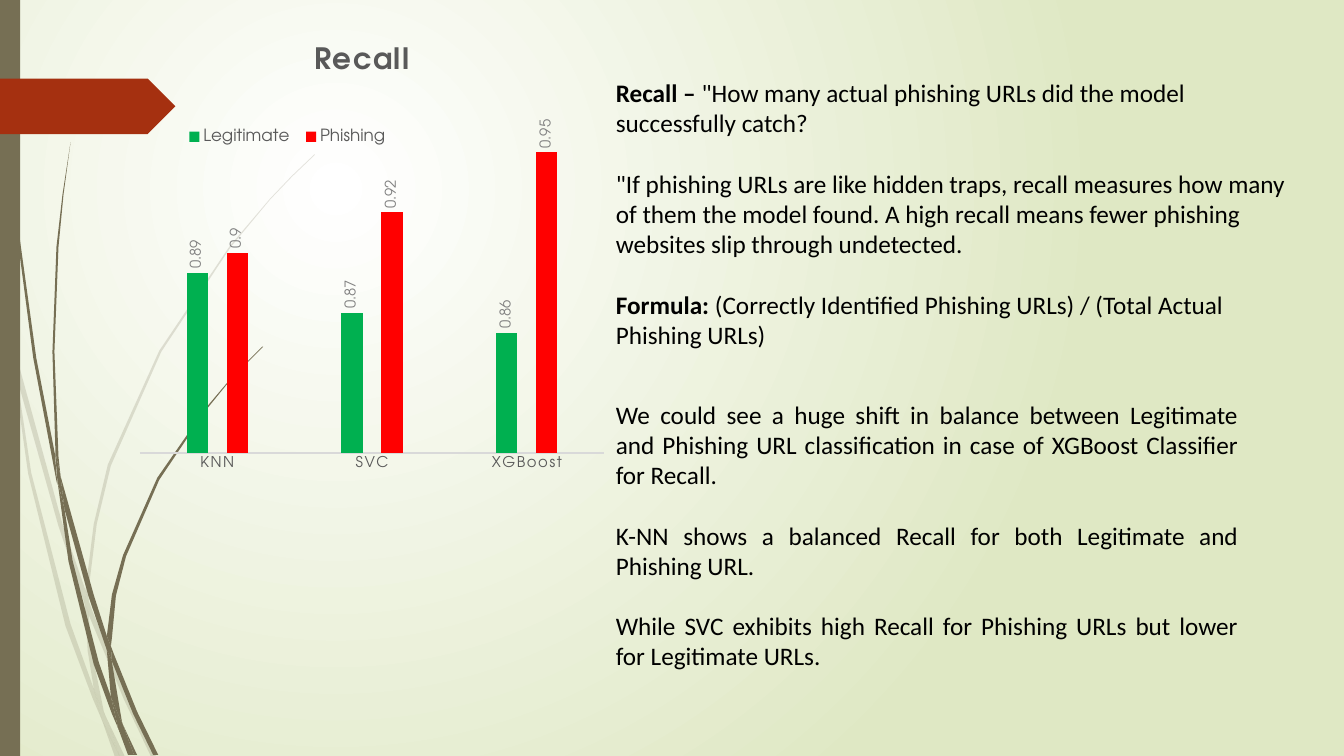
from dataclasses import dataclass

from pptx import Presentation
from pptx.chart.data import CategoryChartData
from pptx.dml.color import RGBColor
from pptx.enum.chart import XL_CHART_TYPE, XL_LABEL_POSITION, XL_LEGEND_POSITION, XL_TICK_MARK
from pptx.enum.shapes import MSO_SHAPE
from pptx.enum.text import PP_ALIGN
from pptx.oxml import parse_xml
from pptx.oxml.ns import nsdecls, qn
from pptx.util import Inches, Pt

COLUMNS = XL_CHART_TYPE.COLUMN_CLUSTERED
LABEL_OUTSIDE = XL_LABEL_POSITION.OUTSIDE_END
LEGEND_TOP = XL_LEGEND_POSITION.TOP
NO_TICKS = XL_TICK_MARK.NONE
RECTANGLE, PENTAGON = MSO_SHAPE.RECTANGLE, MSO_SHAPE.PENTAGON
LEFT, JUSTIFY = PP_ALIGN.LEFT, PP_ALIGN.JUSTIFY


@dataclass(frozen=True)
class Theme:
    olive: str = "766F54"
    rust: str = "A53010"
    glow: str = "FFFFFF"
    backdrop: str = "DFE8C4"
    text: str = "000000"
    chart_text: str = "595959"
    label_text: str = "808080"
    axis_line: str = "D9D9D9"
    legitimate: str = "00B050"
    phishing: str = "FF0000"
    body_font: str = "Calibri"
    chart_font: str = "TeX Gyre Adventor"
    body_size: float = 18
    title_size: float = 21
    legend_size: float = 12
    label_size: float = 10.6


THEME = Theme()

# Outlines of the grass blades, as (x, y) corners in inches.
FAINT_BLADES = [
    [(.11, 3.5), (.09, 3.22), (0, 2.82), (0, 2.99), (.1, 3.44)],
    [(.58, 5.22), (.84, 5.99), (.85, 5.86), (.62, 5.2), (.14, 3.45), (.17, 3.76)],
    [(.92, 6.07), (.88, 5.96), (.88, 6.1), (1.23, 6.94), (1.5, 7.51), (1.55, 7.51), (1.27, 6.92)],
    [(1.19, 7.51), (1.24, 7.51), (1.05, 7.11)],
    [(.93, 6.83), (.7, 6.19), (.31, 4.69), (.17, 3.76), (.11, 3.5), (.28, 4.7), (.65, 6.21),
     (.92, 6.93), (1.01, 7.14), (.99, 7.07)],
    [(.84, 5.99), (.87, 6.46), (.93, 6.83), (.96, 6.92), (1.05, 7.11), (1.03, 7.06), (.91, 6.46),
     (.88, 6.1), (.88, 6.08)],
    [(.88, 5.84), (.96, 5.2), (1.1, 4.62), (1.6, 3.49), (2.29, 2.45), (2.68, 1.98), (2.9, 1.75),
     (3.12, 1.54), (3.12, 1.53), (2.89, 1.75), (2.68, 1.97), (2.28, 2.44), (1.58, 3.48),
     (1.07, 4.61), (.93, 5.2), (.85, 5.84), (.85, 5.86), (.88, 5.96)],
    [(1.01, 7.14), (1.14, 7.51), (1.19, 7.51)],
    [(.88, 6.08), (.88, 6.1), (.88, 5.96), (.85, 5.86), (.84, 5.99)],
    [(.96, 6.92), (.93, 6.83), (.99, 7.07), (1.01, 7.14), (1.19, 7.51), (1.05, 7.11)],
]
SOLID_BLADES = [
    [(.07, 1.1), (.17, 2.33), (.33, 3.55), (.56, 4.77), (.57, 4.81), (.55, 4.57), (.55, 4.53),
     (.36, 3.55), (.19, 2.32), (.08, 1.09), (.05, .48), (.04, 0), (.03, 0), (.04, .48)],
    [(.88, 5.92), (1.06, 6.45), (1.06, 6.31), (.93, 5.9), (.6, 4.72), (.64, 5.05)],
    [(1.13, 6.49), (1.1, 6.41), (1.11, 6.56), (1.32, 7.08), (1.52, 7.49), (1.57, 7.49), (1.36, 7.06)],
    [(1.1, 6.91), (.98, 6.57), (.72, 5.56), (.64, 5.05), (.57, 4.77), (.68, 5.57), (.93, 6.59),
     (1.11, 7.08), (1.17, 7.22), (1.16, 7.17)],
    [(.6, 4.72), (.58, 4.53), (.54, 3.49), (.58, 2.45), (.63, 1.93), (.7, 1.41), (.62, 1.93),
     (.56, 2.45), (.52, 3.49), (.55, 4.49)],
    [(1.33, 7.49), (1.36, 7.49), (1.22, 7.19)],
    [(.57, 4.77), (.64, 5.05), (.6, 4.72), (.55, 4.49), (.55, 4.53)],
    [(1.11, 6.33), (1.15, 5.91), (1.25, 5.52), (1.58, 4.76), (2.05, 4.06), (2.31, 3.74), (2.61, 3.44),
     (2.6, 3.44), (2.31, 3.73), (2.04, 4.05), (1.56, 4.74), (1.22, 5.51), (1.11, 5.9), (1.06, 6.31),
     (1.1, 6.41)],
    [(1.17, 7.22), (1.27, 7.49), (1.31, 7.49)],
    [(1.06, 6.45), (1.1, 6.91), (1.16, 7.06), (1.22, 7.19), (1.21, 7.16), (1.11, 6.56), (1.09, 6.51)],
    [(1.06, 6.45), (1.09, 6.51), (1.11, 6.56), (1.1, 6.41), (1.06, 6.31)],
    [(1.16, 7.06), (1.1, 6.91), (1.16, 7.17), (1.17, 7.22), (1.3, 7.49), (1.33, 7.49), (1.22, 7.19)],
]


def rgb(color):
    return RGBColor.from_string(color)


def format_font(font, name=THEME.body_font, size=THEME.body_size, color=THEME.text, bold=False, spacing=0):
    font.name, font.size, font.bold = name, Pt(size), bold
    font.color.rgb = rgb(color)
    if spacing:
        font._element.set("spc", str(spacing))


def add_text(paragraph, text, **font_format):
    run = paragraph.add_run()
    run.text = text
    format_font(run.font, **font_format)


def paint(shape, color):
    shape.shadow.inherit = False
    shape.fill.solid()
    shape.fill.fore_color.rgb = rgb(color)
    shape.line.fill.background()


def add_blade(slide, outline, opacity):
    points = [(Inches(x), Inches(y)) for x, y in outline]
    builder = slide.shapes.build_freeform(*points[0])
    builder.add_line_segments(points[1:], close=True)
    blade = builder.convert_to_shape()
    paint(blade, THEME.olive)
    color = blade.fill._xPr.find(".//" + qn("a:srgbClr"))
    color.append(parse_xml(f'<a:alpha {nsdecls("a")} val="{opacity * 1000}"/>'))


def add_background(slide):
    slide.background.fill.solid()
    solid = slide.background.fill._xPr.find(qn("a:solidFill"))
    solid.getparent().replace(solid, parse_xml(
        f'<a:gradFill {nsdecls("a")} rotWithShape="1"><a:gsLst>'
        f'<a:gs pos="0"><a:srgbClr val="{THEME.glow}"/></a:gs>'
        f'<a:gs pos="100000"><a:srgbClr val="{THEME.backdrop}"/></a:gs></a:gsLst>'
        '<a:path path="circle"><a:fillToRect l="50000" t="50000" r="100000" b="100000"/>'
        '</a:path></a:gradFill>'))


def add_decoration(slide):
    for blades, opacity in ((FAINT_BLADES, 20), (SOLID_BLADES, 100)):
        for outline in blades:
            add_blade(slide, outline, opacity)
    for kind, color, box in ((RECTANGLE, THEME.olive, (0, 0, .2, 7.5)),
                             (PENTAGON, THEME.rust, (0, .78, 1.74, .55))):
        paint(slide.shapes.add_shape(kind, *map(Inches, box)), color)


def set_layout(element, index, inner=False, **fractions):
    """Fix a chart part at fractions of the chart's width and height."""
    for old in element.findall(qn("c:layout")):
        element.remove(old)
    target = '<c:layoutTarget val="inner"/>' if inner else ""
    sizes = "".join(f'<c:{key} val="{value}"/>' for key, value in fractions.items())
    element.insert(index, parse_xml(
        f'<c:layout {nsdecls("c")}><c:manualLayout>{target}<c:xMode val="edge"/>'
        f'<c:yMode val="edge"/>{sizes}</c:manualLayout></c:layout>'))


def add_recall_chart(slide, box):
    data = CategoryChartData()
    data.categories = ["KNN", "SVC", "XGBoost"]
    data.add_series("Legitimate", (.89, .87, .86))
    data.add_series("Phishing", (.9, .92, .95))
    chart = slide.shapes.add_chart(COLUMNS, *map(Inches, box), data).chart
    small = dict(name=THEME.chart_font, size=THEME.label_size)
    format_font(chart.font, **small)
    add_text(chart.chart_title.text_frame.paragraphs[0], "Recall", name=THEME.chart_font,
             size=THEME.title_size, color=THEME.chart_text, bold=True, spacing=100)
    set_layout(chart.chart_title._element, 1, x=.37, y=.01)

    chart.has_legend = True
    chart.legend.position = LEGEND_TOP
    chart.legend.include_in_layout = False
    format_font(chart.legend.font, name=THEME.chart_font, size=THEME.legend_size, color=THEME.chart_text)
    set_layout(chart.legend._element, 1, x=.1, y=.19, w=.45, h=.08)

    values, categories = chart.value_axis, chart.category_axis
    values.minimum_scale, values.maximum_scale = .8, .96
    values.has_major_gridlines = values.visible = False
    categories.major_tick_mark = NO_TICKS
    categories.format.line.color.rgb = rgb(THEME.axis_line)
    categories.format.line.width = Pt(.75)
    format_font(categories.tick_labels.font, color=THEME.chart_text, spacing=120, **small)
    set_layout(chart._chartSpace.chart.plotArea, 0, inner=True, x=.02, y=.22, w=.96, h=.72)

    plot = chart.plots[0]
    plot.gap_width, plot.overlap, plot.vary_by_categories = 444, -90, False
    for series, color in zip(plot.series, (THEME.legitimate, THEME.phishing)):
        series.format.fill.solid()
        series.format.fill.fore_color.rgb = rgb(color)
        labels = series.data_labels
        labels.show_value, labels.position = True, LABEL_OUTSIDE
        format_font(labels.font, color=THEME.label_text, **small)
        labels._element.find(".//" + qn("a:bodyPr")).set("rot", "-5400000")


def add_explanation(slide, box, entries, alignment=LEFT):
    """Write (bold lead, text) entries as paragraphs set one line apart."""
    frame = slide.shapes.add_textbox(*map(Inches, box)).text_frame
    frame.word_wrap = True
    for index, (lead, text) in enumerate(entries):
        paragraph = frame.add_paragraph() if index else frame.paragraphs[0]
        paragraph.alignment = alignment
        paragraph.space_before = Pt(21.5 if index else 0)
        if lead:
            add_text(paragraph, lead, bold=True)
        add_text(paragraph, text)


def main():
    presentation = Presentation()
    presentation.slide_width, presentation.slide_height = Inches(13.33), Inches(7.5)
    slide = presentation.slides.add_slide(presentation.slide_layouts[6])
    add_background(slide)
    add_decoration(slide)
    add_recall_chart(slide, (1.29, .34, 4.8, 4.42))
    add_explanation(slide, (6.01, .72, 6.92, 2.83), [
        ("Recall – ", '"How many actual phishing URLs did the model successfully catch?'),
        ("", '"If phishing URLs are like hidden traps, recall measures how many of them the model '
             'found. A high recall means fewer phishing websites slip through undetected.'),
        ("Formula: ", "(Correctly Identified Phishing URLs) / (Total Actual Phishing URLs)")])
    add_explanation(slide, (6.01, 3.91, 6.37, 2.83), [
        ("", "We could see a huge shift in balance between Legitimate and Phishing URL "
             "classification in case of XGBoost Classifier for Recall."),
        ("", "K-NN shows a balanced Recall for both Legitimate and Phishing URL."),
        ("", "While SVC exhibits high Recall for Phishing URLs but lower for Legitimate URLs.")], JUSTIFY)
    presentation.save("out.pptx")


if __name__ == "__main__":
    main()
